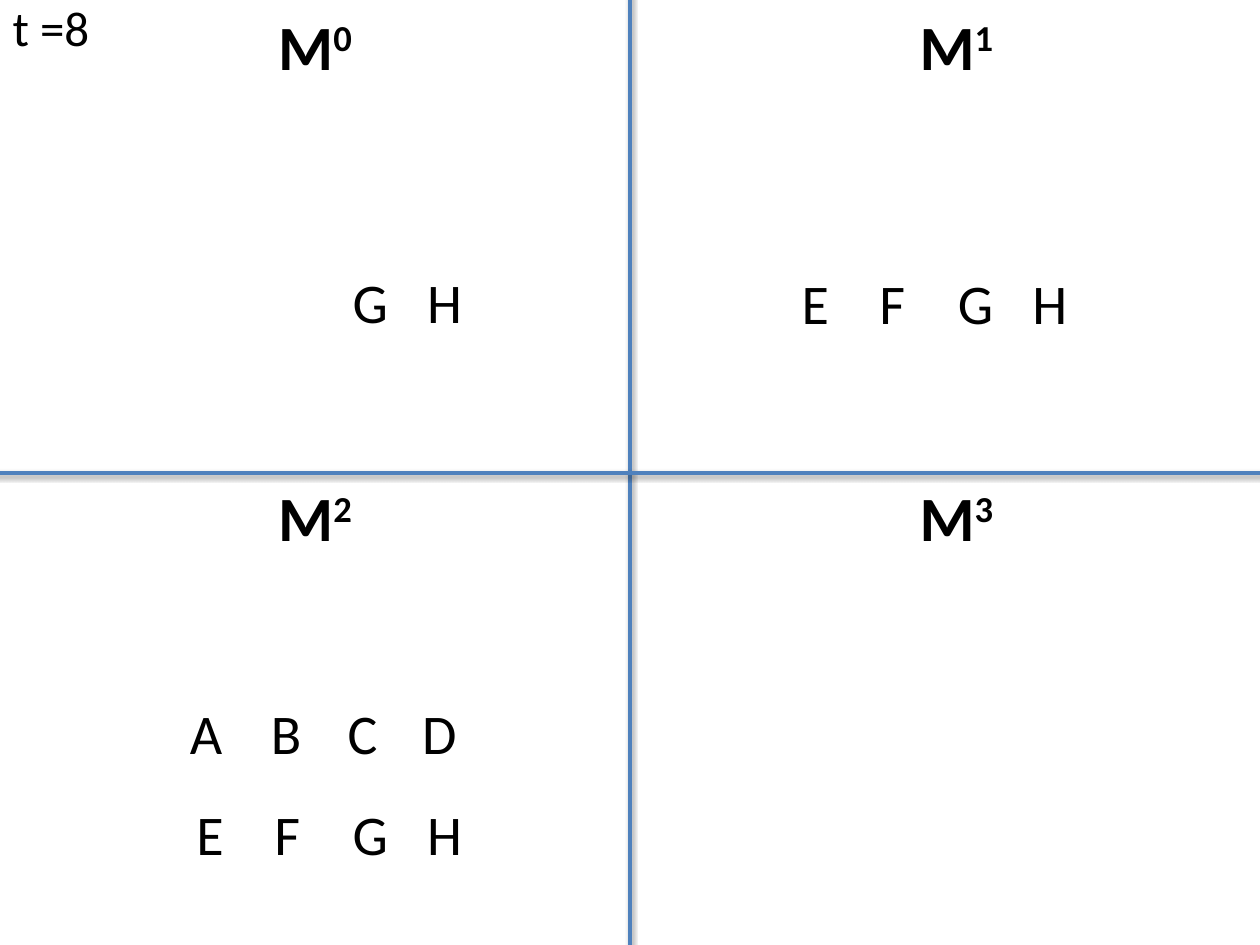
from dataclasses import dataclass

import lxml.etree
import pptx
import pptx.dml.color
import pptx.enum.shapes
import pptx.enum.text
import pptx.oxml
import pptx.oxml.ns
import pptx.util

Cm = pptx.util.Cm
Pt = pptx.util.Pt
Align = pptx.enum.text.PP_ALIGN

SLIDE_WIDTH, SLIDE_HEIGHT = 25.4, 19.05
MIDDLE_X, MIDDLE_Y = 12.7, 9.53
OVERHANG = 0.25
BLACK, BLUE = "000000", "4F81BD"

PLAIN = {"name": "Calibri", "size": Pt(32), "bold": False}
HEADING = {**PLAIN, "size": Pt(36), "bold": True}
TIME = {**PLAIN, "size": Pt(28)}

SHADOW = (
    f'<a:effectLst {pptx.oxml.ns.nsdecls("a")}>'
    '<a:outerShdw blurRad="40000" dist="20000" dir="5400000" rotWithShape="0">'
    '<a:srgbClr val="000000"><a:alpha val="38000"/></a:srgbClr>'
    '</a:outerShdw></a:effectLst>'
)


@dataclass(frozen=True)
class Column:
    left: float
    width: float


@dataclass(frozen=True)
class Panel:
    power: str
    left: float
    top: float


@dataclass(frozen=True)
class LetterRow:
    letters: str
    shift: float
    top: float


COLUMNS = {
    "A": Column(3.58, 1.17),
    "B": Column(5.21, 1.17),
    "C": Column(6.76, 1.12),
    "D": Column(8.26, 1.22),
    "E": Column(3.71, 1.07),
    "F": Column(5.28, 1.04),
    "G": Column(6.86, 1.24),
    "H": Column(8.36, 1.22),
}
PANELS = [
    Panel("0", 0, 0.03),
    Panel("1", 12.93, 0.03),
    Panel("2", 0, MIDDLE_Y),
    Panel("3", 12.93, MIDDLE_Y),
]
LETTER_ROWS = [
    LetterRow("GH", 0, 5.26),
    LetterRow("EFGH", 12.2, 5.28),
    LetterRow("ABCD", 0, 13.95),
    LetterRow("EFGH", 0, 16),
]


def rgb(value: str) -> pptx.dml.color.RGBColor:
    return pptx.dml.color.RGBColor.from_string(value)


def add_run(paragraph, text: str, style: dict):
    run = paragraph.add_run()
    run.text = text
    for attribute, value in style.items():
        setattr(run.font, attribute, value)
    run.font.color.rgb = rgb(BLACK)
    return run


def add_box(slide, left: float, top: float, width: float, height: float,
            wrap: bool):
    """Add a text box and return its first paragraph."""
    box = slide.shapes.add_textbox(Cm(left), Cm(top), Cm(width), Cm(height))
    box.text_frame.word_wrap = wrap
    box.text_frame.auto_size = pptx.enum.text.MSO_AUTO_SIZE.SHAPE_TO_FIT_TEXT
    return box.text_frame.paragraphs[0]


def add_panel_heading(slide, panel: Panel) -> None:
    paragraph = add_box(slide, panel.left, panel.top, MIDDLE_X, 1.8, True)
    paragraph.alignment = Align.CENTER
    add_run(paragraph, "M", HEADING)
    power = add_run(paragraph, panel.power, HEADING)
    power._r.get_or_add_rPr().set("baseline", "30000")


def add_letters(slide, row: LetterRow) -> None:
    for letter in row.letters:
        column = COLUMNS[letter]
        paragraph = add_box(slide, column.left + row.shift, row.top,
                            column.width, 1.62, False)
        add_run(paragraph, letter, PLAIN)


def add_divider(slide, x1: float, y1: float, x2: float, y2: float) -> None:
    divider = slide.shapes.add_connector(
        pptx.enum.shapes.MSO_CONNECTOR.STRAIGHT, Cm(x1), Cm(y1), Cm(x2), Cm(y2))
    divider.line.color.rgb = rgb(BLUE)
    divider.line.width = Pt(2)
    divider._element.spPr.append(pptx.oxml.parse_xml(SHADOW))


def set_time_title(slide, text: str) -> None:
    title = slide.shapes.title
    title.left, title.top = Cm(0), Cm(-0.18)
    title.width, title.height = Cm(2.54), Cm(1.45)
    frame = title.text_frame
    frame.word_wrap = True
    frame.auto_size = pptx.enum.text.MSO_AUTO_SIZE.SHAPE_TO_FIT_TEXT
    frame.vertical_anchor = pptx.enum.text.MSO_ANCHOR.TOP
    frame.paragraphs[0].alignment = Align.LEFT
    add_run(frame.paragraphs[0], text, TIME)


def main() -> None:
    deck = pptx.Presentation()
    deck.slide_width, deck.slide_height = Cm(SLIDE_WIDTH), Cm(SLIDE_HEIGHT)
    slide = deck.slides.add_slide(deck.slide_layouts.get_by_name("Title Only"))

    set_time_title(slide, "t =8")
    add_divider(slide, MIDDLE_X, -OVERHANG, MIDDLE_X, SLIDE_HEIGHT + OVERHANG)
    add_divider(slide, -OVERHANG, MIDDLE_Y, SLIDE_WIDTH + OVERHANG, MIDDLE_Y)
    for panel in PANELS:
        add_panel_heading(slide, panel)
    for row in LETTER_ROWS:
        add_letters(slide, row)

    deck.save("out.pptx")


if __name__ == "__main__":
    main()
